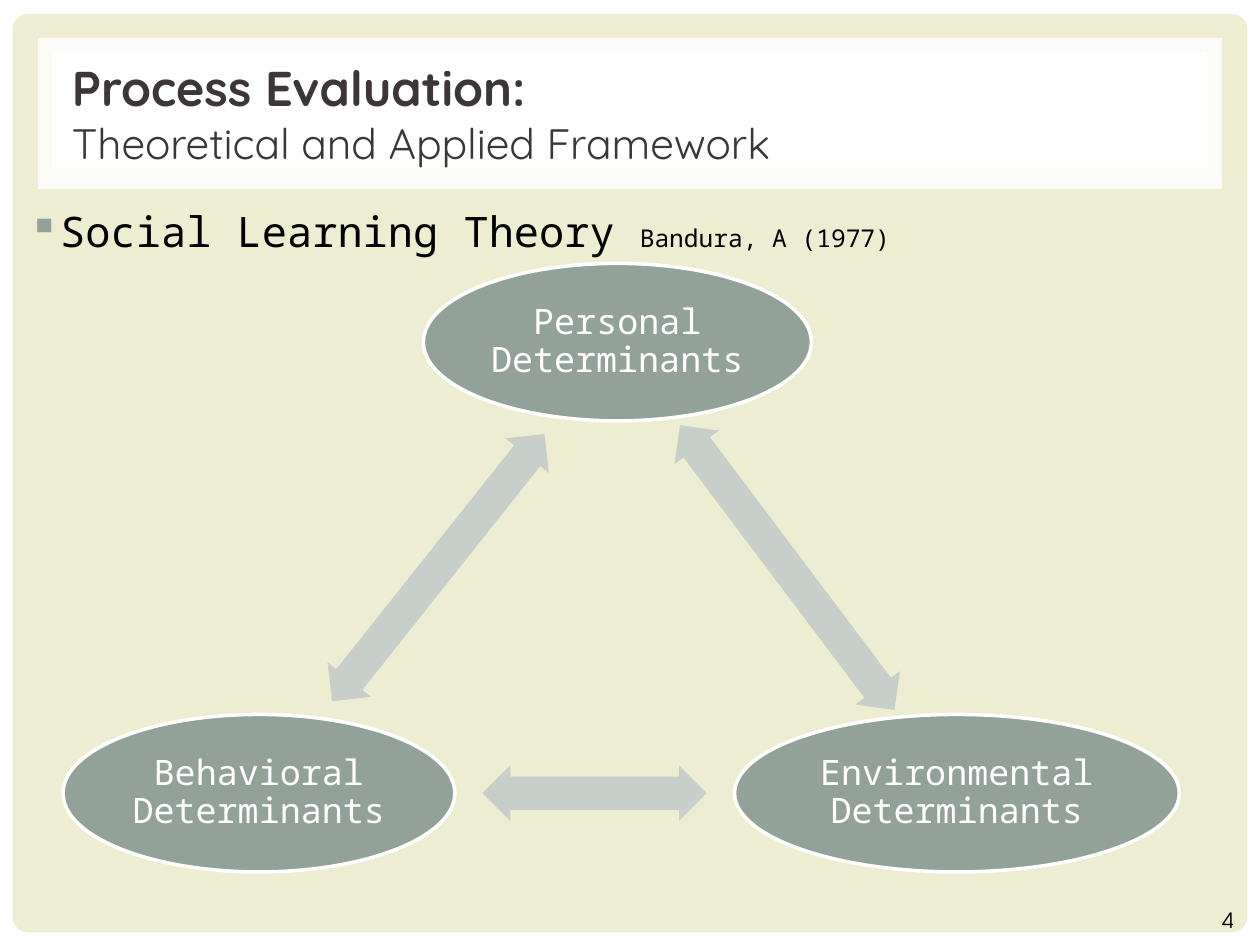
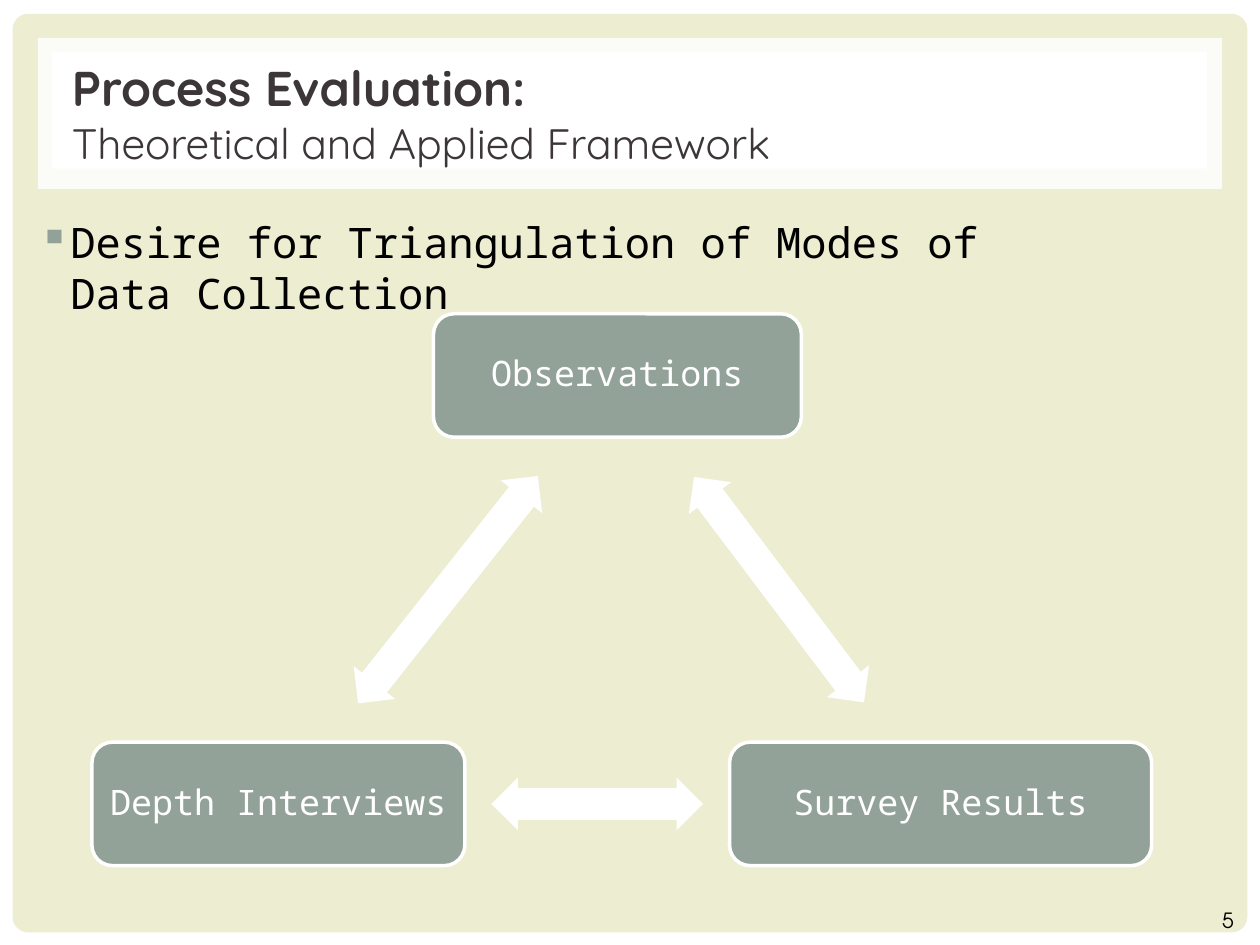
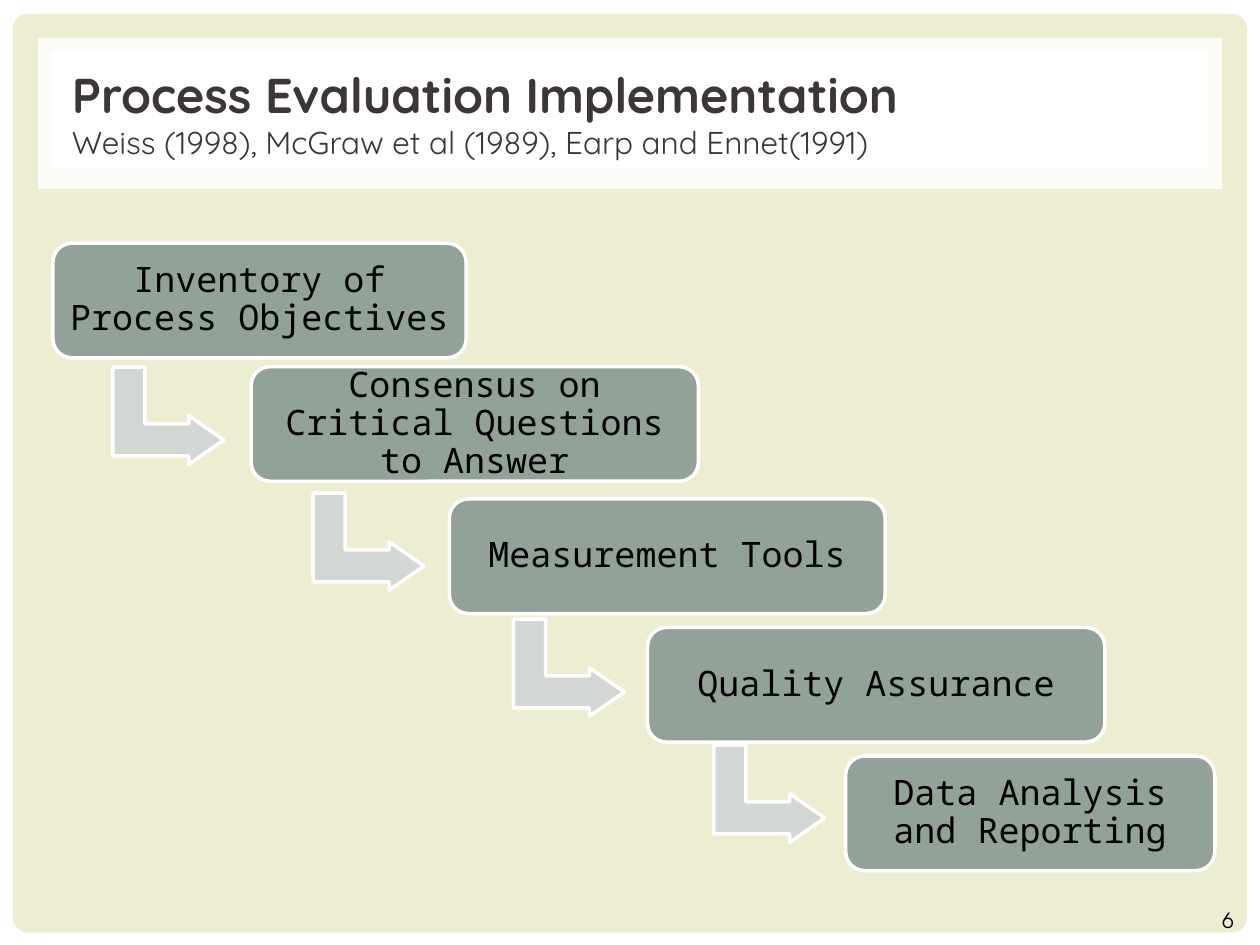
from math import atan2, degrees

from lxml.etree import SubElement
from pptx import Presentation
from pptx.dml.color import RGBColor
from pptx.enum.shapes import MSO_SHAPE as Shape
from pptx.enum.text import MSO_ANCHOR as Anchor, MSO_AUTO_SIZE as AutoSize, PP_ALIGN as Align
from pptx.oxml.ns import qn
from pptx.util import Inches, Pt

COLUMNS, ROWS = 100, 75
WHITE, BLACK, INK = "FFFFFF", "000000", "3C3638"
CREAM, SAGE = "ECEDD1", "93A299"
PALE_SAGE, MIST = "C8CECA", "D2D7D4"
TITLE_FONT, BODY_FONT, NUMBER_FONT = "Quicksand", "Noto Sans Mono", "TeX Gyre Adventor"


def rgb(hex_color):
    return RGBColor.from_string(hex_color)


def set_font(font, size, color=None, name=None, bold=None):
    font.size = Pt(size)
    if color:
        font.color.rgb = rgb(color)
    if name:
        font.name = name
    if bold is not None:
        font.bold = bold


class Deck:
    """House style plus the slide being filled; lengths are grid columns and rows."""

    def __init__(self):
        self.prs = Presentation()
        self.prs.slide_width, self.prs.slide_height = Inches(10), Inches(7.5)
        self.layout = self.prs.slide_layouts[5]
        background = self.prs.slide_master.background.fill
        background.solid()
        background.fore_color.rgb = rgb(CREAM)
        self.slide = None

    def place(self, left, top, width, height):
        across, down = self.prs.slide_width / COLUMNS, self.prs.slide_height / ROWS
        return [round(n) for n in (left * across, top * down, width * across, height * down)]

    def new_slide(self, number, heading, subtitle, subtitle_size):
        first = self.slide is None
        self.slide = self.prs.slides.add_slide(self.layout)
        if first:
            self.backdrop()
        self.title(heading, subtitle, subtitle_size)
        self.slide_number(number)

    def backdrop(self):
        """Build the shared bands and move them into the layout."""
        bands = [
            self.shape(Shape.RECTANGLE, (0, 0, 100, 75), WHITE),
            self.shape(Shape.ROUNDED_RECTANGLE, (1, 1.1, 98, 72.9), CREAM, adjust=[0.017]),
            self.shape(Shape.RECTANGLE, (3, 3, 94, 12), WHITE),
            self.shape(Shape.RECTANGLE, (4.1, 4.1, 91.7, 9.3), WHITE),
        ]
        veil_color = bands[2].element.spPr.find(".//" + qn("a:srgbClr"))
        SubElement(veil_color, qn("a:alpha"), val="83000")
        for depth, band in enumerate(bands):
            band.element.nvSpPr.cNvPr.id = 100 + depth
            self.layout.shapes.element.insert(2 + depth, band.element)

    def title(self, heading, subtitle, subtitle_size):
        title = self.slide.shapes.title
        title.left, title.top, title.width, title.height = self.place(4.7, 4.5, 90.3, 8.9)
        frame = title.text_frame
        frame.auto_size, frame.vertical_anchor = AutoSize.NONE, Anchor.MIDDLE
        paragraph = frame.paragraphs[0]
        paragraph.alignment = Align.LEFT
        set_font(paragraph.font, 27.9, INK, TITLE_FONT)
        for text, size, bold in ((heading, 27.9, True), (subtitle, subtitle_size, False)):
            if not bold:
                paragraph.add_line_break()
            run = paragraph.add_run()
            run.text = text
            set_font(run.font, size, bold=bold)

    def text_box(self, box, anchor=Anchor.TOP):
        frame = self.slide.shapes.add_textbox(*self.place(*box)).text_frame
        frame.word_wrap, frame.vertical_anchor = True, anchor
        return frame.paragraphs[0]

    def slide_number(self, number):
        paragraph = self.text_box((75.6, 71, 23.3, 4), Anchor.MIDDLE)
        paragraph.text = str(number)
        paragraph.alignment = Align.RIGHT
        set_font(paragraph.font, 12, BLACK, NUMBER_FONT)

    def bullet(self, box, text, citation=None):
        paragraph = self.text_box(box)
        properties = paragraph._p.get_or_add_pPr()
        properties.set("marL", str(Inches(0.38)))
        properties.set("indent", str(Inches(-0.25)))
        bullet_color = SubElement(properties, qn("a:buClr"))
        SubElement(bullet_color, qn("a:srgbClr"), val=SAGE)
        SubElement(properties, qn("a:buChar"), char="▪")
        paragraph.space_before = Pt(4.8)
        set_font(paragraph.font, 24, BLACK, BODY_FONT)
        paragraph.add_run().text = text
        if citation:
            source = paragraph.add_run()
            source.text = citation
            set_font(source.font, 14)

    def shape(self, kind, box, fill, outline=None, adjust=(), rotation=0):
        shape = self.slide.shapes.add_shape(kind, *self.place(*box))
        shape.shadow.inherit = False
        shape.fill.solid()
        shape.fill.fore_color.rgb = rgb(fill)
        if outline:
            shape.line.color.rgb = rgb(outline)
            shape.line.width = Pt(2)
        else:
            shape.line.fill.background()
        for index, value in enumerate(adjust):
            shape.adjustments[index] = value
        shape.rotation = rotation % 360
        return shape

    def node(self, kind, box, text, color):
        frame = self.shape(kind, box, SAGE, WHITE).text_frame
        frame.word_wrap, frame.vertical_anchor = True, Anchor.MIDDLE
        frame.margin_left = frame.margin_right = Inches(0.08)
        frame.margin_top = frame.margin_bottom = Inches(0.08)
        paragraph = frame.paragraphs[0]
        paragraph.text = text
        paragraph.alignment, paragraph.line_spacing = Align.CENTER, 0.9
        set_font(paragraph.font, 20, color, BODY_FONT)

    def double_arrow(self, center, length, thickness, rotation, fill):
        x, y = center
        box = (x - length / 2, y - thickness / 2, length, thickness)
        self.shape(Shape.LEFT_RIGHT_ARROW, box, fill, adjust=[0.6, 0.5], rotation=rotation)

    def triangle(self, kind, nodes, lengths, thickness, arrow_fill):
        """Three nodes (top, right, left) joined by double arrows."""
        for text, box in nodes:
            self.node(kind, box, text, WHITE)
        top, right, left = [box for _, box in nodes]
        (top_x, top_y), *base = [(x + w / 2, y + h / 2) for x, y, w, h in (top, right, left)]
        for (x, y), length in zip(base, lengths):
            middle = ((top_x + x) / 2, (top_y + y) / 2)
            angle = degrees(atan2(y - top_y, x - top_x))
            self.double_arrow(middle, length, thickness, angle, arrow_fill)
        gap_middle = (left[0] + left[2] + right[0]) / 2
        self.double_arrow((gap_middle, base[0][1]), lengths[2], thickness, 180, arrow_fill)

    def staircase(self, steps):
        """Boxes going down to the right, a bent arrow leading to each next one."""
        arrow_width, arrow_height = 7.7, 8.8
        for index, (text, top, width) in enumerate(steps):
            if index < len(steps) - 1:
                x, y = 13.35 + 15.9 * index, 33 + 10 * index
                box = (x - arrow_width / 2, y - arrow_height / 2, arrow_width, arrow_height)
                self.shape(Shape.BENT_UP_ARROW, box, MIST, WHITE, [0.33, 0.25, 0.36], 90)
            box = (4.2 + 15.73 * index, top, width, 9.1)
            self.node(Shape.ROUNDED_RECTANGLE, box, text, BLACK)


def main():
    deck = Deck()
    framework = ("Process Evaluation:", "Theoretical and Applied Framework", 24.3)

    deck.new_slide(4, *framework)
    deck.bullet((0, 15.8, 98.3, 5), "Social Learning Theory ", "Bandura, A (1977)")
    determinants = [
        ("Personal Determinants", (33.6, 20.9, 30.8, 12.5)),
        ("Environmental Determinants", (58.3, 56.7, 35.3, 12.5)),
        ("Behavioral Determinants", (5, 56.7, 31.1, 12.5)),
    ]
    deck.triangle(Shape.OVAL, determinants, (28.3, 27.1, 17.8), 4.4, PALE_SAGE)

    deck.new_slide(5, *framework)
    deck.bullet((0.8, 16.7, 86.5, 5.8), "Desire for Triangulation of Modes of Data Collection")
    data_sources = [
        ("Observations", (34.4, 24.9, 29.2, 9.8)),
        ("Survey Results", (57.9, 58.9, 33.5, 9.8)),
        ("Depth Interviews", (7.3, 58.9, 29.6, 9.8)),
    ]
    deck.triangle(Shape.ROUNDED_RECTANGLE, data_sources, (22.4, 23, 16.8), 4.2, WHITE)

    deck.new_slide(6, "Process Evaluation Implementation",
                   "Weiss (1998), McGraw et al (1989), Earp and Ennet(1991)", 18)
    deck.staircase([
        ("Inventory of Process Objectives", 19.3, 32.8),
        ("Consensus on Critical Questions to Answer", 29.1, 35.5),
        ("Measurement Tools", 39.6, 34.6),
        ("Quality Assurance", 49.8, 36.3),
        ("Data Analysis and Reporting", 60, 29.3),
    ])

    deck.prs.save("out.pptx")


if __name__ == "__main__":
    main()
